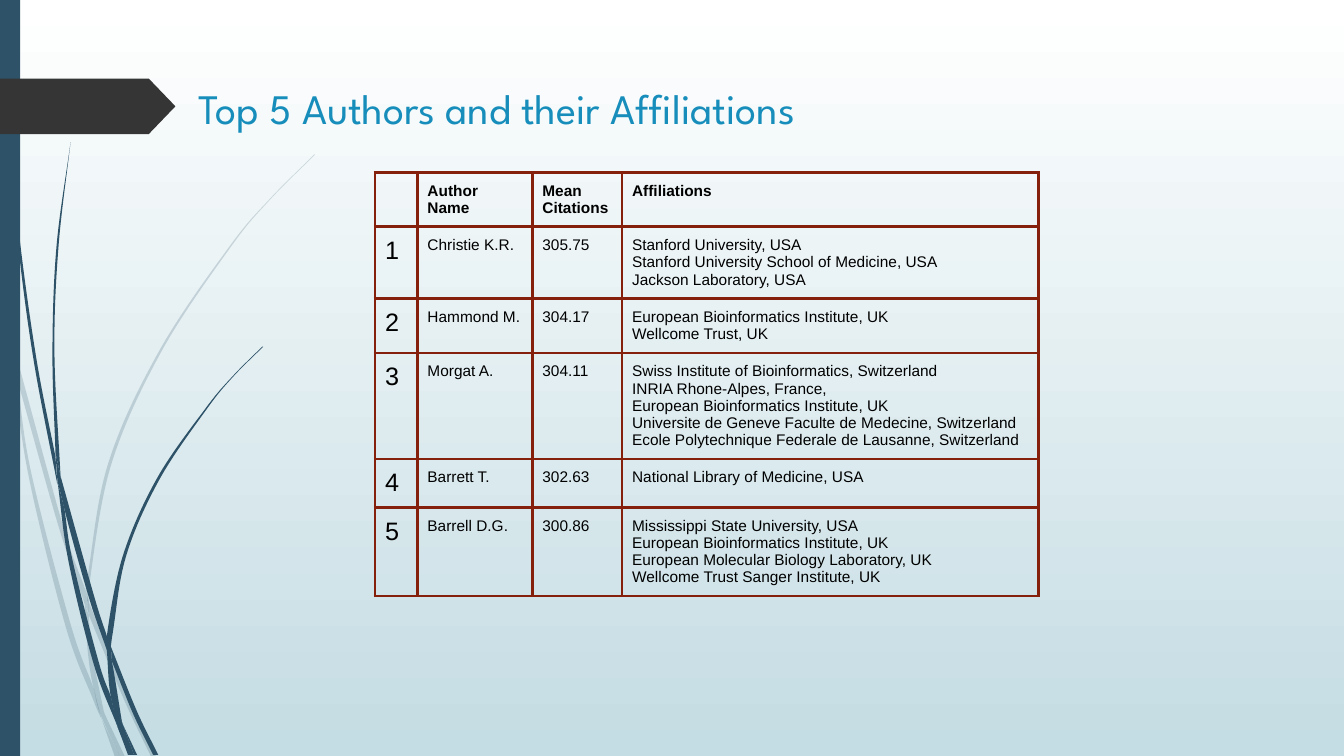
from lxml import etree
from pptx import Presentation
from pptx.dml.color import RGBColor
from pptx.enum.shapes import MSO_SHAPE
from pptx.enum.text import MSO_ANCHOR, PP_ALIGN
from pptx.oxml.ns import qn
from pptx.util import Inches, Pt

PLATE, RECT = MSO_SHAPE.PENTAGON, MSO_SHAPE.RECTANGLE
MIDDLE, TOP, LEFT = MSO_ANCHOR.MIDDLE, MSO_ANCHOR.TOP, PP_ALIGN.LEFT

# Content
TITLE = "Top 5 Authors and their Affiliations"
HEADS = ["Author Name", "Mean Citations", "Affiliations"]
AUTHORS = [
    ("Christie K.R.", "305.75", [
        "Stanford University, USA",
        "Stanford University School of Medicine, USA",
        "Jackson Laboratory, USA"]),
    ("Hammond M.", "304.17", [
        "European Bioinformatics Institute, UK",
        "Wellcome Trust, UK"]),
    ("Morgat A.", "304.11", [
        "Swiss Institute of Bioinformatics, Switzerland",
        "INRIA Rhone-Alpes, France,",
        "European Bioinformatics Institute, UK",
        "Universite de Geneve Faculte de Medecine, Switzerland",
        "Ecole Polytechnique Federale de Lausanne, Switzerland"]),
    ("Barrett T.", "302.63", ["National Library of Medicine, USA"]),
    ("Barrell D.G.", "300.86", [
        "Mississippi State University, USA",
        "European Bioinformatics Institute, UK",
        "European Molecular Biology Laboratory, UK",
        "Wellcome Trust Sanger Institute, UK"]),
]
COLORS = {"top": "FFFFFF", "base": "C4DCE3", "stem": "2E5369", "tab": "353535",
          "title": "168DBA", "text": "000000", "rule": "85200C"}

# Grid, in inches; rows grow with their text
WIDE, HIGH = 13.33, 7.5
COLS = [0.42, 1.14, 0.89, 4.13]
ROW, PAD = 0.43, 0.1

# Grass: each blade has one side, then the other side on the way back
PALE = [
    ([(.11, 3.5), (.09, 3.22), (0, 2.82)], [(0, 2.99), (.1, 3.44)]),
    ([(.17, 3.76), (.58, 5.22), (.84, 5.99)],
     [(.85, 5.86), (.62, 5.2), (.14, 3.45)]),
    ([(.88, 5.96), (.92, 6.07), (1.27, 6.92), (1.55, 7.51)],
     [(1.5, 7.51), (1.23, 6.94), (.88, 6.1)]),
    ([(1.05, 7.11), (1.24, 7.51)], [(1.19, 7.51), (1.05, 7.11)]),
    ([(.11, 3.5), (.28, 4.7), (.65, 6.21), (.92, 6.93), (1.01, 7.14)],
     [(.93, 6.83), (.7, 6.19), (.31, 4.69), (.17, 3.76)]),
    ([(.84, 5.99), (.87, 6.46), (.93, 6.83), (1.05, 7.11)],
     [(1.03, 7.06), (.91, 6.46), (.88, 6.1)]),
    ([(.88, 5.96), (.88, 5.84), (1.1, 4.62), (1.6, 3.49), (2.29, 2.45),
      (2.68, 1.98), (3.12, 1.54)],
     [(3.12, 1.53), (2.68, 1.97), (2.28, 2.44), (1.58, 3.48), (1.07, 4.61),
      (.85, 5.84)]),
    ([(1.01, 7.14), (1.14, 7.51)], [(1.19, 7.51), (1.01, 7.14)]),
    ([(.88, 6.1), (.88, 5.96), (.85, 5.86)], [(.84, 5.99), (.88, 6.08)]),
    ([(.93, 6.83), (.99, 7.07), (1.19, 7.51)], [(1.05, 7.11), (.96, 6.92)]),
]
DARK = [
    ([(.03, 0), (.04, .48), (.07, 1.1), (.17, 2.33), (.33, 3.55), (.57, 4.81)],
     [(.55, 4.53), (.36, 3.55), (.19, 2.32), (.08, 1.09), (.05, .48), (.04, 0)]),
    ([(.6, 4.72), (.64, 5.05), (.88, 5.92), (1.06, 6.45)],
     [(1.06, 6.31), (.93, 5.9), (.6, 4.72)]),
    ([(1.1, 6.41), (1.13, 6.49), (1.36, 7.06), (1.57, 7.49)],
     [(1.52, 7.49), (1.32, 7.08), (1.11, 6.56)]),
    ([(.57, 4.77), (.68, 5.57), (.93, 6.59), (1.17, 7.22)],
     [(1.1, 6.91), (.98, 6.57), (.72, 5.56), (.64, 5.05)]),
    ([(.6, 4.72), (.54, 3.49), (.58, 2.45), (.7, 1.41)],
     [(.7, 1.41), (.56, 2.45), (.52, 3.49), (.55, 4.49)]),
    ([(1.22, 7.19), (1.36, 7.49)], [(1.33, 7.49), (1.22, 7.19)]),
    ([(.57, 4.77), (.64, 5.05)], [(.6, 4.72), (.55, 4.49)]),
    ([(1.11, 6.33), (1.25, 5.52), (1.58, 4.76), (2.05, 4.06), (2.31, 3.74),
      (2.61, 3.44)],
     [(2.6, 3.44), (2.31, 3.73), (2.04, 4.05), (1.56, 4.74), (1.22, 5.51),
      (1.06, 6.31), (1.1, 6.41)]),
    ([(1.17, 7.22), (1.27, 7.49)], [(1.31, 7.49), (1.17, 7.22)]),
    ([(1.06, 6.45), (1.1, 6.91), (1.22, 7.19)],
     [(1.21, 7.16), (1.11, 6.56), (1.06, 6.45)]),
    ([(1.06, 6.45), (1.11, 6.56)], [(1.1, 6.41), (1.06, 6.31)]),
    ([(1.1, 6.91), (1.17, 7.22), (1.3, 7.49)],
     [(1.33, 7.49), (1.22, 7.19), (1.16, 7.06)]),
]


def color(name):
    return RGBColor.from_string(COLORS[name])


def write(frame, *lines, size=11, font="Arial", tint="text", bold=False, anchor=TOP):
    frame.word_wrap = True
    frame.vertical_anchor = anchor
    for i, line in enumerate(lines):
        para = frame.paragraphs[0] if i == 0 else frame.add_paragraph()
        para.alignment = LEFT
        run = para.add_run()
        run.text = line
        run.font.size, run.font.name, run.font.bold = Pt(size), font, bold
        run.font.color.rgb = color(tint)


def paint(shape, name, alpha=100):
    shape.shadow.inherit = False
    shape.fill.solid()
    shape.fill.fore_color.rgb = color(name)
    shape.line.fill.background()
    if alpha < 100:
        tone = shape._element.spPr.find(qn("a:solidFill"))[0]
        etree.SubElement(tone, qn("a:alpha"), val=str(alpha * 1000))


def mirror(end, near):
    return tuple(2 * e - n for e, n in zip(end, near))


def handles(side):
    """Two Bezier handles for each step of a smooth side."""
    ends = [mirror(side[0], side[1]), *side, mirror(side[-1], side[-2])]
    return [(tuple(q + (r - p) / 6 for p, q, r in zip(a, b, c)),
             tuple(r - (s - q) / 6 for q, r, s in zip(b, c, d)))
            for a, b, c, d in zip(ends, ends[1:], ends[2:], ends[3:])]


def blade(shapes, one, two, alpha):
    edge = [(Inches(x), Inches(y)) for x, y in one + two]
    form = shapes.build_freeform(*edge[0])
    form.add_line_segments(edge[1:], close=True)
    shape = form.convert_to_shape()
    # Bend both sides; the step between them stays straight
    bends = handles(one) + [None] + handles(two)
    steps = list(shape._element.iter(qn("a:lnTo")))
    for step, bend in zip(steps, bends):
        if bend:
            curve = etree.Element(qn("a:cubicBezTo"))
            for x, y in bend:
                etree.SubElement(curve, qn("a:pt"), x=str(Inches(x) - shape.left),
                                 y=str(Inches(y) - shape.top))
            step.getparent().replace(step, curve)
            curve.append(step[0])
    paint(shape, "stem", alpha)


def rule(cell):
    props = cell._tc.get_or_add_tcPr()
    for i, side in enumerate(("lnL", "lnR", "lnT", "lnB")):
        line = etree.Element(qn("a:" + side), w=str(Pt(2.25)))
        fill = etree.SubElement(line, qn("a:solidFill"))
        etree.SubElement(fill, qn("a:srgbClr"), val=COLORS["rule"])
        props.insert(i, line)


def main():
    deck = Presentation()
    deck.slide_width, deck.slide_height = Inches(WIDE), Inches(HIGH)
    slide = deck.slides.add_slide(deck.slide_layouts[5])
    shapes = slide.shapes

    # Background
    back = slide.background.fill
    back.gradient()
    back.gradient_angle = 270
    for stop, name in zip(back.gradient_stops, ("top", "base")):
        stop.color.rgb = color(name)

    # Grass, side bar and tab
    for group, alpha in ((PALE, 20), (DARK, 100)):
        for one, two in group:
            blade(shapes, one, two, alpha)
    paint(shapes.add_shape(RECT, 0, 0, Inches(0.2), Inches(HIGH)), "stem")
    tab = shapes.add_shape(PLATE, 0, Inches(0.78), Inches(1.74), Inches(0.55))
    tab.adjustments[0] = 0.48
    paint(tab, "tab")

    # Title
    title = shapes.title
    title.left, title.top = Inches(1.87), Inches(0.76)
    title.width, title.height = Inches(9.02), Inches(0.62)
    write(title.text_frame, TITLE, size=30, font="League Spartan", tint="title",
          anchor=MIDDLE)

    # Table
    count = len(AUTHORS) + 1
    table = shapes.add_table(count, len(COLS), Inches(3.72), Inches(1.71),
                             Inches(sum(COLS)), Inches(ROW * count)).table
    table.first_row = table.horz_banding = False
    for col, width in zip(table.columns, COLS):
        col.width = Inches(width)
    for cell in table.iter_cells():
        cell.margin_left = cell.margin_right = Inches(PAD)
        cell.margin_top = cell.margin_bottom = Inches(PAD)
        cell.fill.background()
        rule(cell)
    for c, head in enumerate(HEADS, 1):
        write(table.cell(0, c).text_frame, head, bold=True)
    for r, (name, mean, places) in enumerate(AUTHORS, 1):
        write(table.cell(r, 0).text_frame, str(r), size=18)
        for c, lines in enumerate(([name], [mean], places), 1):
            write(table.cell(r, c).text_frame, *lines)

    deck.save("out.pptx")


if __name__ == "__main__":
    main()
